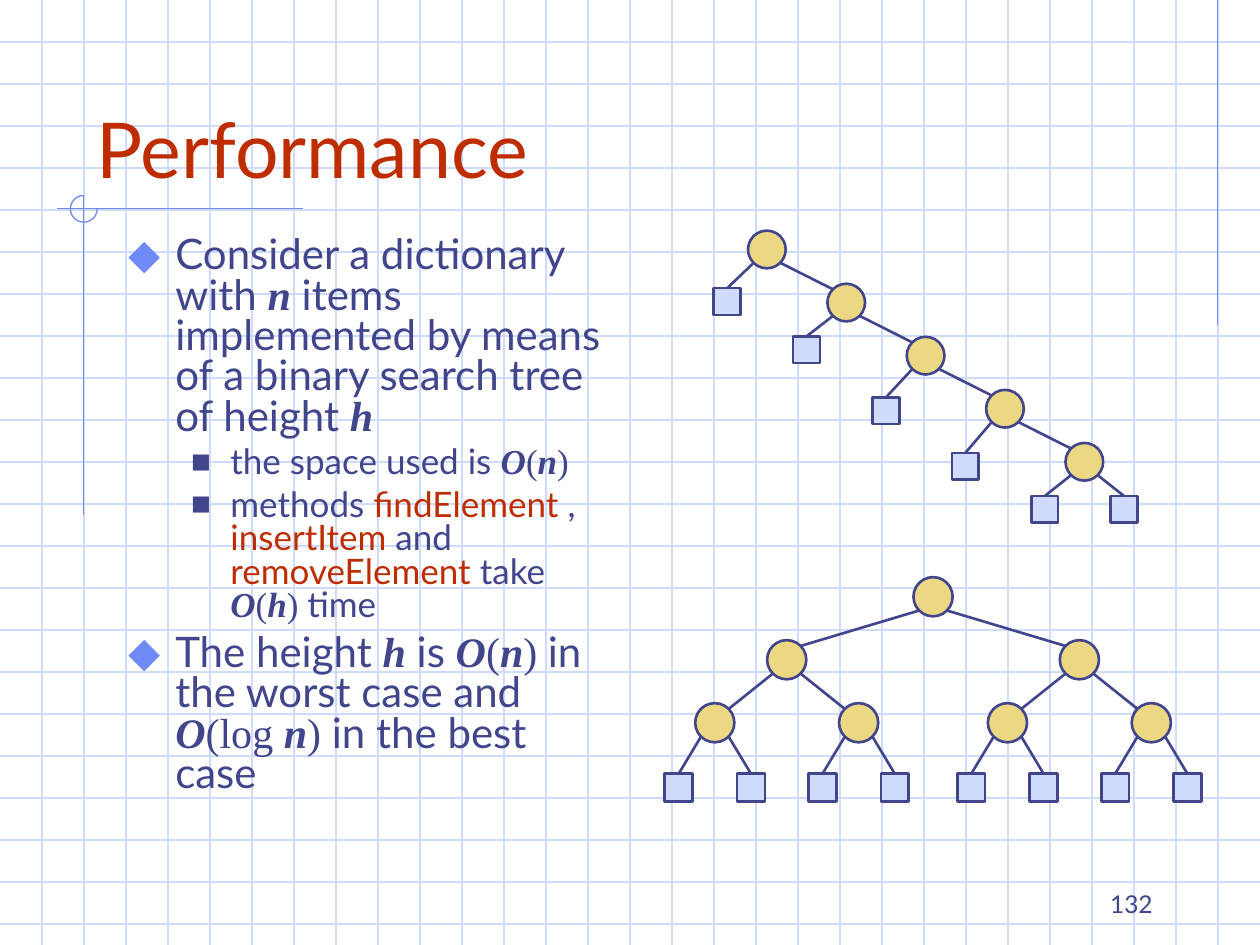
"""Builds the slide on the performance of binary search trees."""
from dataclasses import dataclass

from lxml import etree
from pptx import Presentation
from pptx.dml.color import RGBColor
from pptx.enum import shapes, text
from pptx.oxml import ns
from pptx.util import Cm, Pt


@dataclass(frozen=True)
class Theme:
    ink: str = "40458C"
    accent: str = "BE2D00"
    rule: str = "6F89F7"
    pale: str = "CFDBFD"
    gold: str = "ECD882"
    sans: str = "Lato"
    serif: str = "Times New Roman"
    title_size: int = 44
    level_sizes: tuple = (24, 20)
    number_size: int = 14
    thin: float = 0.75
    edge: float = 1.5


THEME = Theme()
TITLE = "Performance"
PAGE_NUMBER = "132"
BODY = [
    (0, [("plain", "Consider a dictionary with "), ("variable", "n"),
         ("plain", " items implemented by means of a binary search tree of height "),
         ("variable", "h")]),
    (1, [("plain", "the space used is "), ("variable", "O"), ("math", "("),
         ("variable", "n"), ("math", ")")]),
    (1, [("plain", "methods "), ("method", "findElement "), ("plain", ", "),
         ("method", "insertItem"), ("plain", " and "), ("method", "removeElement"),
         ("plain", " take "), ("variable", "O"), ("math", "("), ("variable", "h"),
         ("math", ") "), ("plain", "time")]),
    (0, [("plain", "The height "), ("variable", "h"), ("plain", " is "),
         ("variable", "O"), ("math", "("), ("variable", "n"), ("math", ") "),
         ("plain", "in the worst case and "), ("variable", "O"), ("math", "(log "),
         ("variable", "n"), ("math", ")"), ("plain", " in the best case")]),
]
LEVELS = [
    dict(bullet="⬥", colour=THEME.rule, percent=110, left=0.95, hang=0.95, before=6),
    dict(bullet="■", colour=THEME.ink, percent=60, left=2.06, hang=0.79, before=5),
]
CHAIN = dict(root=(15.46, 5.03), step=(1.6, 1.07), leaf_dx=0.8,
             leaf_y=[6.08, 7.05, 8.28, 9.4, 10.27], sizes=(0.76, 0.54))
BALANCED = dict(root_x=18.81, spreads=[2.95, 1.45, 0.73],
                level_y=[12.03, 13.3, 14.57, 15.88], sizes=(0.79, 0.56))
RULES = [(24.55, 0, 24.55, 6.55), (6.1, 4.21, 1.14, 4.21), (1.69, 3.94, 1.69, 10.39)]
GRID_CELLS = 30


def rgb(colour):
    return RGBColor.from_string(colour)


def add_line(parent, start, end, colour, width):
    line = parent.add_connector(shapes.MSO_CONNECTOR.STRAIGHT, *start, *end)
    line.line.color.rgb = rgb(colour)
    line.line.width = Pt(width)
    etree.SubElement(line._element.spPr, ns.qn("a:effectLst"))
    return line


def add_backdrop(slide, width, height):
    backdrop = slide.shapes.add_group_shape()
    cell = width / GRID_CELLS
    for row in range(1, int(height / cell) + 1):
        y = round(row * cell)
        add_line(backdrop.shapes, (0, y), (width, y), THEME.pale, THEME.thin)
    for column in range(1, GRID_CELLS):
        x = round(column * cell)
        add_line(backdrop.shapes, (x, 0), (x, height), THEME.pale, THEME.thin)
    for x1, y1, x2, y2 in RULES:
        add_line(backdrop.shapes, (Cm(x1), Cm(y1)), (Cm(x2), Cm(y2)),
                 THEME.rule, THEME.thin)
    ring = backdrop.shapes.add_shape(shapes.MSO_SHAPE.ARC,
                                     Cm(1.42), Cm(3.94), Cm(0.54), Cm(0.54))
    ring.adjustments[0], ring.adjustments[1] = 0, 162
    ring.shadow.inherit = False
    ring.fill.background()
    ring.line.color.rgb = rgb(THEME.rule)
    ring.line.width = Pt(THEME.thin)
    slide.shapes._spTree.insert(2, backdrop._element)


def place(part, left, top, width, height, anchor):
    part.left, part.top, part.width, part.height = map(Cm, (left, top, width, height))
    frame = part.text_frame
    frame.word_wrap = True
    frame.auto_size = text.MSO_AUTO_SIZE.NONE
    frame.vertical_anchor = anchor
    return frame


def style(font, size, colour):
    font.name = THEME.sans
    font.size = Pt(size)
    font.color.rgb = rgb(colour)


def write_line(frame, words, align, size, colour):
    paragraph = frame.paragraphs[0]
    paragraph.text = words
    paragraph.alignment = align
    style(paragraph.font, size, colour)


def add_bullet(paragraph, level):
    props = paragraph._p.get_or_add_pPr()
    props.set("marL", str(Cm(level["left"])))
    props.set("indent", str(-Cm(level["hang"])))
    colour = etree.SubElement(props, ns.qn("a:buClr"))
    etree.SubElement(colour, ns.qn("a:srgbClr"), val=level["colour"])
    etree.SubElement(props, ns.qn("a:buSzPct"), val=str(level["percent"] * 1000))
    etree.SubElement(props, ns.qn("a:buFont"), typeface=THEME.sans)
    etree.SubElement(props, ns.qn("a:buChar"), char=level["bullet"])


def write_body(frame):
    for index, (depth, pieces) in enumerate(BODY):
        paragraph = frame.paragraphs[0] if index == 0 else frame.add_paragraph()
        paragraph.level = depth
        paragraph.alignment = text.PP_ALIGN.LEFT
        paragraph.line_spacing = 0.8
        paragraph.space_before = Pt(LEVELS[depth]["before"] if index else 0)
        add_bullet(paragraph, LEVELS[depth])
        style(paragraph.font, THEME.level_sizes[depth], THEME.ink)
        for role, words in pieces:
            run = paragraph.add_run()
            run.text = words
            if role in ("variable", "math"):
                run.font.name = THEME.serif
            if role == "variable":
                run.font.bold = run.font.italic = True
            if role == "method":
                run.font.color.rgb = rgb(THEME.accent)


def chain_tree(depth=0):
    x, y = (start + depth * step for start, step in zip(CHAIN["root"], CHAIN["step"]))
    leaf_y = CHAIN["leaf_y"][depth]
    left = (x - CHAIN["leaf_dx"], leaf_y, [])
    if depth + 1 < len(CHAIN["leaf_y"]):
        return x, y, [left, chain_tree(depth + 1)]
    return x, y, [left, (x + CHAIN["leaf_dx"], leaf_y, [])]


def balanced_tree(x, depth=0):
    spread = BALANCED["spreads"][depth:depth + 1]
    children = [balanced_tree(x + side * dx, depth + 1) for dx in spread for side in (-1, 1)]
    return x, BALANCED["level_y"][depth], children


def draw_tree(parent, node, sizes):
    x, y, children = node
    size = sizes[0] if children else sizes[1]
    outline = shapes.MSO_SHAPE.OVAL if children else shapes.MSO_SHAPE.RECTANGLE
    mark = parent.add_shape(outline, Cm(x - size / 2), Cm(y - size / 2), Cm(size), Cm(size))
    mark.shadow.inherit = False
    mark.fill.solid()
    mark.fill.fore_color.rgb = rgb(THEME.gold if children else THEME.pale)
    mark.line.color.rgb = rgb(THEME.ink)
    mark.line.width = Pt(THEME.edge)
    rim = 0.35 * size
    for child in children:
        child_x, child_y, grandchildren = child
        side = 1 if child_x > x else -1
        child_mark = draw_tree(parent, child, sizes)
        branch = add_line(parent, (Cm(x + side * rim), Cm(y + rim)),
                          (Cm(child_x - side * rim), Cm(child_y - rim)),
                          THEME.ink, THEME.edge)
        if not grandchildren:
            branch.end_connect(child_mark, 0)
    return mark


def main():
    deck = Presentation()
    deck.slide_width, deck.slide_height = Cm(25.4), Cm(19.05)
    slide = deck.slides.add_slide(deck.slide_layouts[1])
    add_backdrop(slide, deck.slide_width, deck.slide_height)
    title, body = slide.placeholders
    write_line(place(title, 1.69, 0.85, 21.59, 3.18, text.MSO_ANCHOR.BOTTOM),
               TITLE, text.PP_ALIGN.LEFT, THEME.title_size, THEME.accent)
    write_body(place(body, 2.33, 4.66, 10.37, 12.7, text.MSO_ANCHOR.TOP))
    draw_tree(slide.shapes.add_group_shape().shapes, chain_tree(), CHAIN["sizes"])
    draw_tree(slide.shapes, balanced_tree(BALANCED["root_x"]), BALANCED["sizes"])
    number = slide.shapes.add_textbox(0, 0, 0, 0)
    write_line(place(number, 18.2, 17.36, 5.29, 1.27, text.MSO_ANCHOR.BOTTOM),
               PAGE_NUMBER, text.PP_ALIGN.RIGHT, THEME.number_size, THEME.ink)
    deck.save("out.pptx")


if __name__ == "__main__":
    main()
